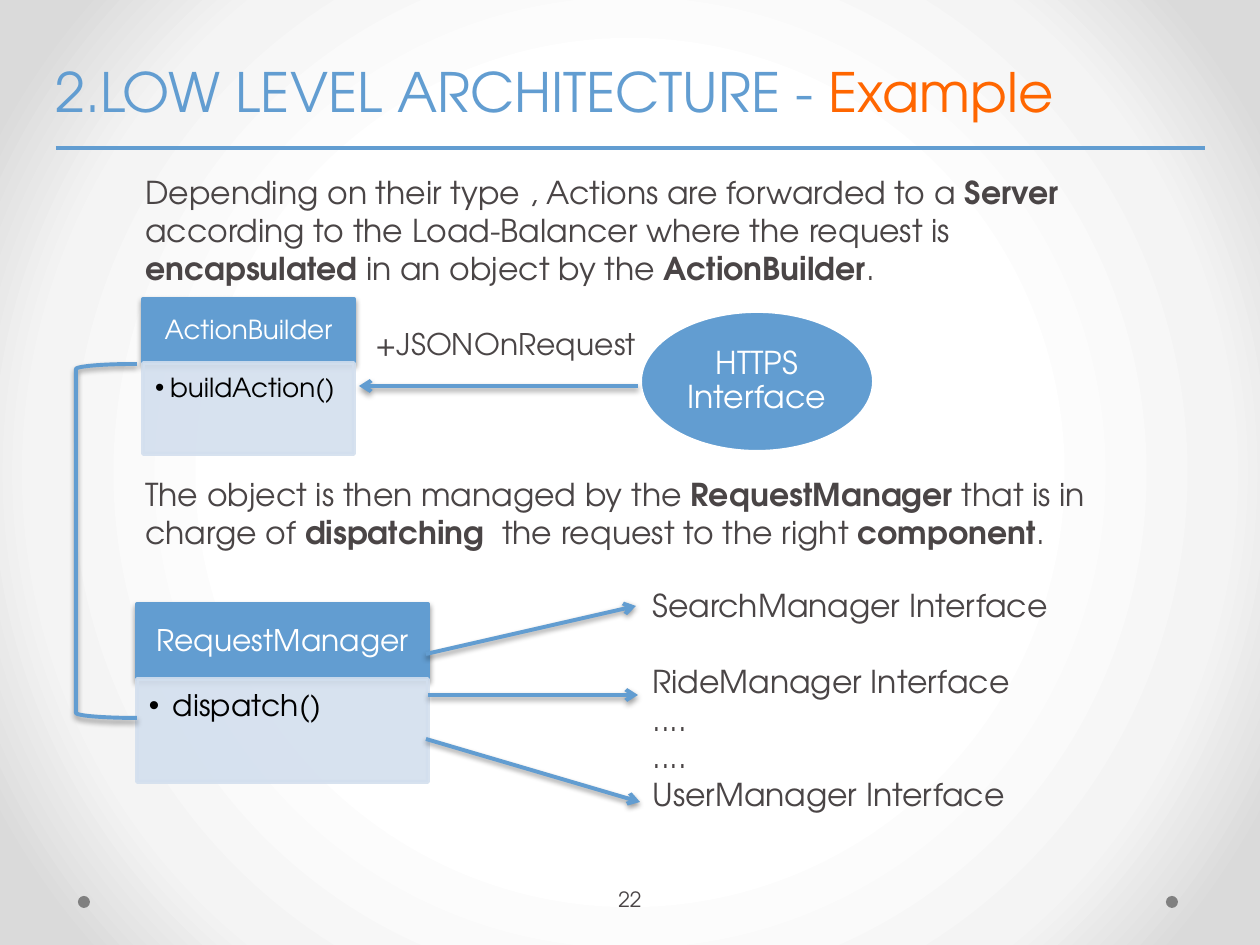
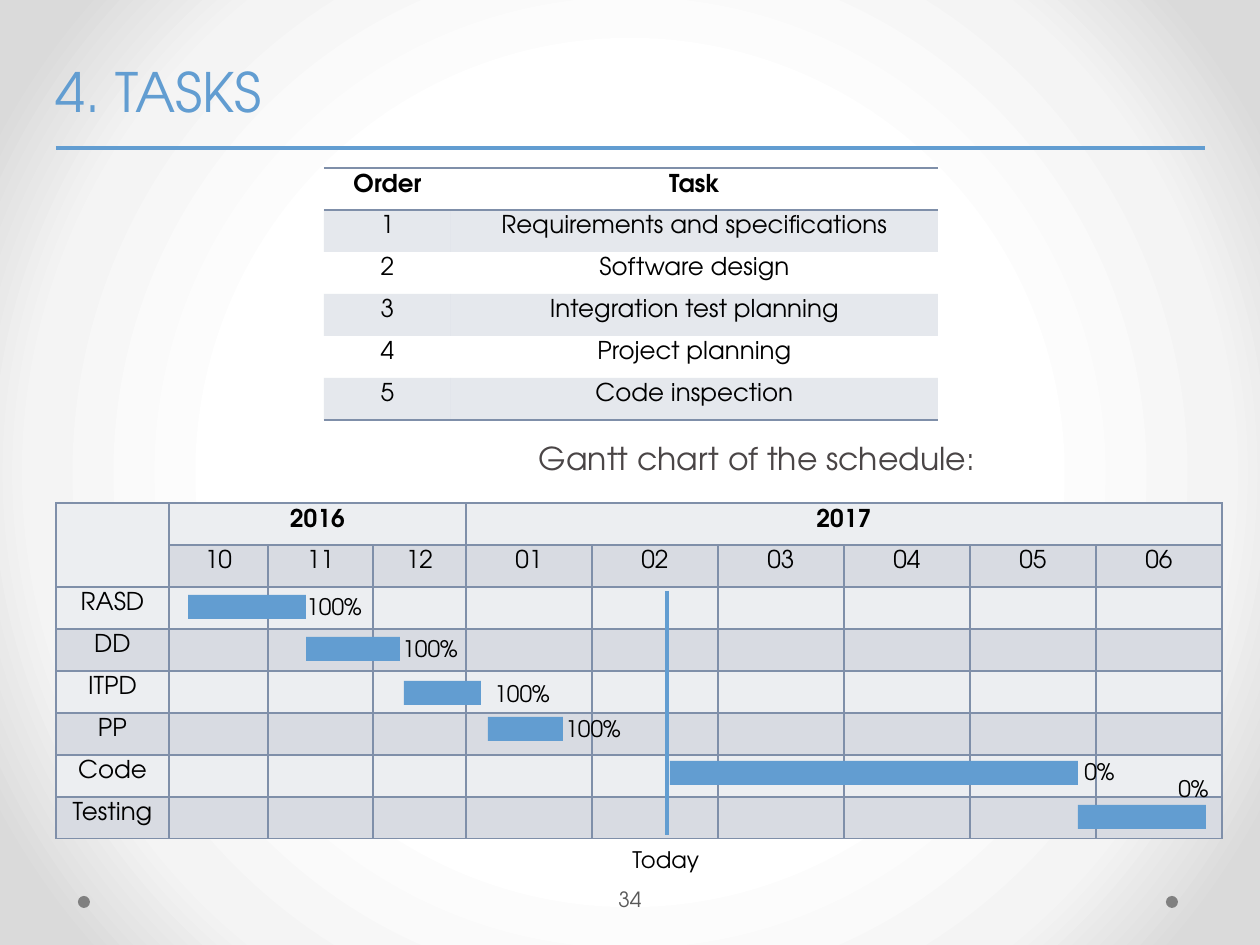
from pptx import Presentation
from pptx import util as u
from pptx.dml.color import RGBColor
from pptx.enum import shapes, text
from pptx.oxml import parse_xml
from pptx.oxml.ns import nsdecls, qn

FONT = "TeX Gyre Adventor"
BLUE = RGBColor(0x62, 0x9D, 0xD1)
ORANGE = RGBColor(0xFF, 0x66, 0x00)
DARK = RGBColor(0x4A, 0x45, 0x46)
GREY = RGBColor(0x59, 0x59, 0x59)
DOT = RGBColor(0x80, 0x80, 0x80)
BLACK = RGBColor(0, 0, 0)
WHITE = RGBColor(0xFF, 0xFF, 0xFF)
PALE = RGBColor(0xD3, 0xDF, 0xEE)
SLATE = RGBColor(0x7F, 0x8F, 0xA9)
BANDS = RGBColor(0xEC, 0xEE, 0xF1), RGBColor(0xD8, 0xDB, 0xE2)
LEFT, CENTER = text.PP_ALIGN.LEFT, text.PP_ALIGN.CENTER
TOP, MIDDLE = text.MSO_ANCHOR.TOP, text.MSO_ANCHOR.MIDDLE
KIND = shapes.MSO_SHAPE
ROW = 42
NO_STYLE = "{2D5ABB26-0587-4C30-8999-92F81FD0307C}"


def px(n):
    return u.Emu(round(n * 914400 / 126))


def node(tag, inner="", **attrs):
    """Make one DrawingML element."""
    pairs = "".join(f' {k}="{v}"' for k, v in attrs.items())
    return parse_xml(f"<a:{tag} {nsdecls('a')}{pairs}>{inner}</a:{tag}>")


def write(frame, words, size=18, color=DARK, mark=None, bold=False, align=LEFT,
          anchor=TOP, inset=None, space=None, gap=None, bullet=None):
    """Fill a frame; words between stars are bold, or take the mark colour.

    gap is the space after the first paragraph, bullet its hanging indent.
    """
    frame.word_wrap = True
    frame.vertical_anchor = anchor
    if inset is not None:
        frame.margin_left = frame.margin_right = px(inset)
        frame.margin_top = frame.margin_bottom = px(inset)
    for i, line in enumerate(words.split("\n")):
        para = frame.add_paragraph() if i else frame.paragraphs[0]
        para.alignment = align
        if space:
            para.line_spacing = space
        if gap and i == 0:
            para.space_after = u.Pt(gap)
        if bullet:
            props = para._p.get_or_add_pPr()
            props.set("marL", str(px(bullet)))
            props.set("indent", str(-px(bullet)))
            props.append(node("buFont", typeface="Arial"))
            props.append(node("buChar", char="•"))
        for j, part in enumerate(line.split("*")):
            if not part:
                continue
            run = para.add_run()
            run.text = part
            font = run.font
            font.name, font.size = FONT, u.Pt(size)
            starred = j % 2 == 1
            font.bold = bold or (starred and mark is None)
            font.color.rgb = mark if starred and mark else color


def paint(fill, color, alpha=None):
    """Set a solid fill, or none."""
    if color is None:
        fill.background()
        return
    fill.solid()
    fill.fore_color.rgb = color
    if alpha:
        clr = fill._xPr.find(".//" + qn("a:srgbClr"))
        clr.append(node("alpha", val=alpha * 1000))


def shade(shape, shadow):
    """Replace the theme's shadow by a soft one, or by none."""
    soft = ('<a:outerShdw blurRad="40000" dist="20000" dir="5400000" rotWithShape="0">'
            '<a:srgbClr val="000000"><a:alpha val="38000"/></a:srgbClr></a:outerShdw>')
    shape.element.spPr.append(node("effectLst", soft if shadow else ""))


def edge(cell, sides):
    """Draw the named sides (L, R, T, B) of a cell."""
    props = cell._tc.get_or_add_tcPr()
    for i, side in enumerate(sides):
        ink = f'<a:solidFill><a:srgbClr val="{SLATE}"/></a:solidFill>'
        props.insert(i, node("ln" + side, ink, w=u.Pt(1)))


class Deck:
    def __init__(self):
        self.prs = Presentation()
        self.prs.slide_width, self.prs.slide_height = px(1260), px(945)
        self.slide = None
        master = self.prs.slide_master
        master.background.fill.gradient()
        grad = master.element.find(".//" + qn("a:gradFill"))
        for child in list(grad):
            grad.remove(child)
        stops = (50, "FFFFFF"), (76, "F4F4F4"), (92, "DADADA")
        grad.append(node("gsLst", "".join(
            f'<a:gs pos="{pos}000"><a:srgbClr val="{c}"/></a:gs>' for pos, c in stops)))
        rect = '<a:fillToRect l="50000" t="50000" r="50000" b="50000"/>'
        grad.append(node("path", rect, path="circle"))

    def start(self, title, number, color):
        """Add a slide with its title, rule, dots and number."""
        self.slide = self.prs.slides.add_slide(self.prs.slide_layouts[6])
        for x in (1166, 78):
            self.shape(KIND.OVAL, x, 896, 12, 12, DOT)
        self.line(56, 148, 1205, 148)
        self.label(title, 43, 52, 1034, 78, size=31, color=BLUE, mark=ORANGE)
        self.label(number, 593, 874, 74, 50, size=12, color=color,
                   align=CENTER, anchor=MIDDLE, inset=4)

    def label(self, words, x, y, w, h, **fmt):
        box = self.slide.shapes.add_textbox(px(x), px(y), px(w), px(h))
        write(box.text_frame, words, **fmt)

    def shape(self, kind, x, y, w, h, fill=None, line=None, alpha=None, shadow=False,
              words="", **fmt):
        item = self.slide.shapes.add_shape(kind, px(x), px(y), px(w), px(h))
        paint(item.fill, fill, alpha)
        paint(item.line.fill, line, alpha)
        if line is not None:
            item.line.width = u.Pt(2.25)
        shade(item, shadow)
        if words:
            write(item.text_frame, words, **fmt)

    def line(self, x1, y1, x2, y2, arrow=False):
        item = self.slide.shapes.add_connector(
            shapes.MSO_CONNECTOR.STRAIGHT, px(x1), px(y1), px(x2), px(y2))
        item.line.color.rgb = BLUE
        item.line.width = u.Pt(2.25)
        if arrow:
            item.line._get_or_add_ln().append(node("tailEnd", type="arrow"))
        shade(item, arrow)

    def card(self, name, method, x, y, w, head, body, size, hang):
        """Draw a class as a head band over a list of methods."""
        self.shape(KIND.RECTANGLE, x, y, w, head, BLUE, BLUE, shadow=True, words=name,
                   size=size, color=WHITE, align=CENTER, anchor=MIDDLE, inset=9, space=0.9)
        self.shape(KIND.RECTANGLE, x, y + head, w, body, PALE, PALE, alpha=90,
                   words=method, size=size, color=BLACK, inset=12, space=0.9, bullet=hang)

    def table(self, x, y, cols, rows, look, heads=1):
        """Fill a table; look(row) gives the fill, alpha and sides of its cells."""
        grid = self.slide.shapes.add_table(
            len(rows), len(cols), px(x), px(y), px(sum(cols)), px(ROW * len(rows))).table
        grid.first_row = grid.horz_banding = False
        grid._tbl.tblPr.find(qn("a:tableStyleId")).text = NO_STYLE
        for col, w in zip(grid.columns, cols):
            col.width = px(w)
        for i, row in enumerate(rows):
            grid.rows[i].height = px(ROW)
            fill, alpha, sides = look(i)
            for j in range(len(cols)):
                cell = grid.cell(i, j)
                cell.margin_top = cell.margin_bottom = 0
                paint(cell.fill, fill, alpha)
                edge(cell, sides)
                if j < len(row) and row[j]:
                    cell.margin_top = px(6)
                    write(cell.text_frame, row[j], size=14, color=BLACK,
                          bold=i < heads, align=CENTER)
        return grid


def example(deck):
    deck.start("2.LOW LEVEL ARCHITECTURE - *Example*", "22", DARK)
    deck.label("Depending on their type , Actions are forwarded to a *Server* according to "
               "the Load-Balancer where the request is *encapsulated* in an object by the "
               "*ActionBuilder*.", 133, 167, 1014, 126)
    deck.label("+JSONOnRequest", 363, 320, 300, 48, size=17)
    deck.label("The object is then managed by the *RequestManager* that is in charge of "
               "*dispatching*  the request to the right *component*.", 133, 469, 1014, 90)
    deck.card("ActionBuilder", "buildAction()", 143, 299, 211, 64, 91, 15, 15)
    deck.shape(KIND.OVAL, 640, 311, 234, 141, BLUE, WHITE, words="HTTPS\nInterface",
               color=WHITE, align=CENTER, anchor=MIDDLE, inset=9, space=0.9)
    deck.card("RequestManager", "dispatch()", 137, 604, 291, 75, 103, 17, 24)
    for ends in ((638, 386, 359, 386), (426, 654, 636, 606),
                 (426, 739, 640, 802), (428, 695, 638, 695)):
        deck.line(*ends, arrow=True)
    deck.label("SearchManager Interface\nRideManager Interface\n....\n....\n"
               "UserManager Interface", 640, 580, 475, 280, gap=21.6)
    deck.shape(KIND.LEFT_BRACKET, 76, 364, 61, 354, line=BLUE, shadow=True)


def tasks(deck):
    deck.start("4. TASKS", "34", GREY)
    deck.label("Gantt chart of the schedule:", 517, 433, 480, 52, align=CENTER)
    names = ("Requirements and specifications", "Software design",
             "Integration test planning", "Project planning", "Code inspection")
    rows = [("Order", "Task")] + [(str(i), n) for i, n in enumerate(names, 1)]
    sides = {0: "TB", len(names): "B"}
    deck.table(324, 168, (127, 487), rows,
               lambda i: (SLATE if i % 2 else None, 20 if i % 2 else None, sides.get(i, "")))

    months = ("10", "11", "12", "01", "02", "03", "04", "05", "06")
    rows = [("", "2016", "", "", "2017"), ("", *months)]
    rows += [(n,) for n in ("RASD", "DD", "ITPD", "PP", "Code", "Testing")]
    grid = deck.table(56, 503, (113, 99, 105, 93) + (126,) * 6, rows,
                      lambda i: (BANDS[i % 2], None, "LRTB"))
    for first, last in (((0, 0), (1, 0)), ((0, 1), (0, 3)), ((0, 4), (0, 9))):
        grid.cell(*first).merge(grid.cell(*last))

    bars = ((188, 595, 118, "100%", 294, 587), (306, 637, 94, "100%", 390, 629),
            (404, 681, 77, "100%", 482, 674), (488, 717, 75, "100%", 553, 709),
            (670, 761, 408, "0%", 1072, 752), (1078, 805, 128, "0%", 1166, 769))
    for x, y, w, done, left, top in bars:
        deck.shape(KIND.RECTANGLE, x, y, w, 24, BLUE)
        deck.label(done, left, top, 84, 40, size=13, color=BLACK)
    deck.line(667, 591, 667, 835)
    deck.label("Today", 620, 840, 96, 40, size=13, color=BLACK)


def main():
    deck = Deck()
    example(deck)
    tasks(deck)
    deck.prs.save("out.pptx")


if __name__ == "__main__":
    main()
